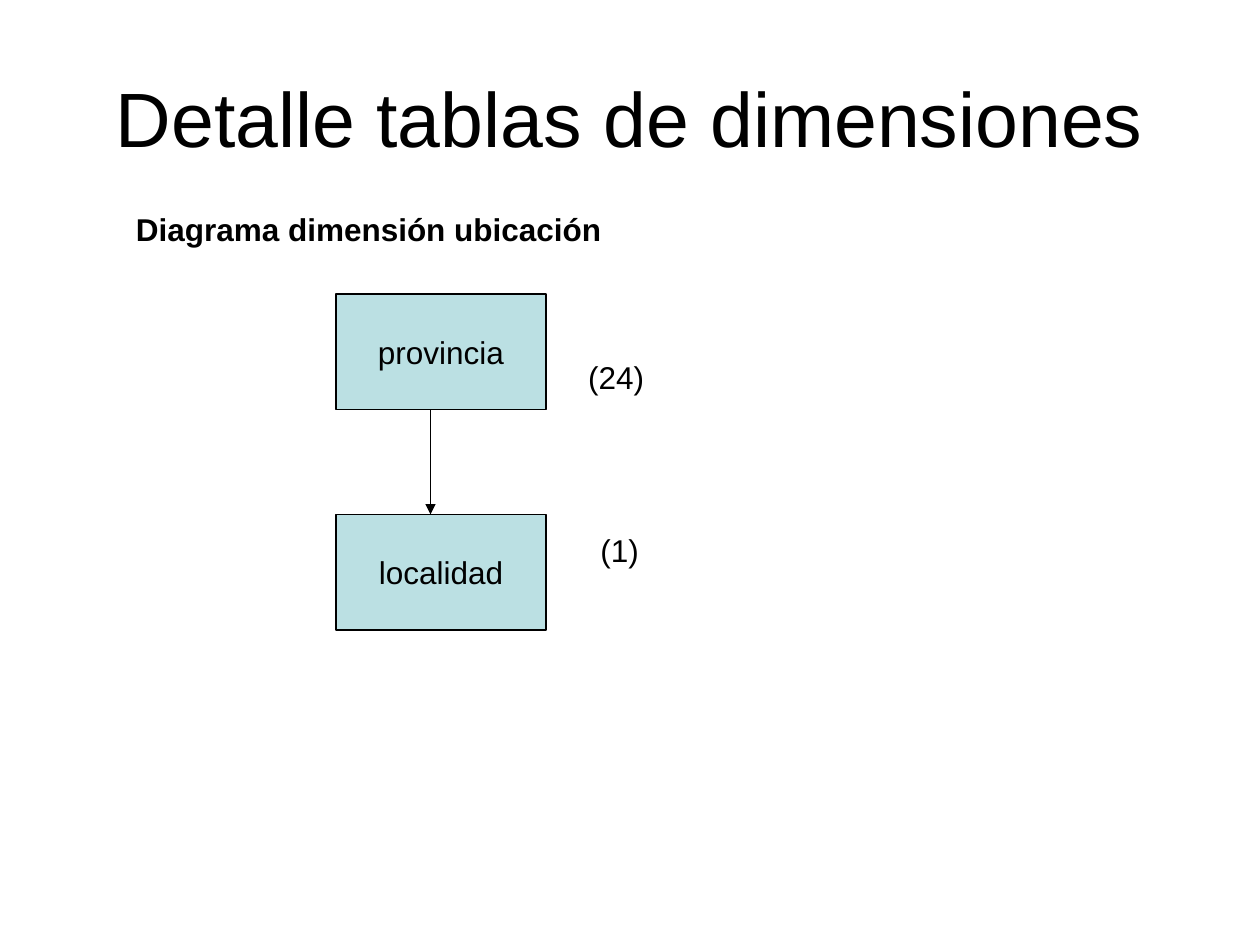
from lxml.etree import SubElement
from pptx import Presentation
from pptx.dml.color import RGBColor
from pptx.enum.shapes import MSO_CONNECTOR, MSO_SHAPE
from pptx.enum.text import MSO_ANCHOR, PP_ALIGN
from pptx.oxml.ns import qn
from pptx.util import Pt

BLACK = RGBColor(0x00, 0x00, 0x00)
PALE_TEAL = RGBColor(0xBB, 0xE0, 0xE3)
WHITE = RGBColor(0xFF, 0xFF, 0xFF)


def write_text(shape, text, size=18, bold=False, align=PP_ALIGN.LEFT,
               anchor=MSO_ANCHOR.TOP, wrap=False):
    frame = shape.text_frame
    frame.word_wrap = wrap
    frame.vertical_anchor = anchor
    paragraph = frame.paragraphs[0]
    paragraph.alignment = align
    run = paragraph.add_run()
    run.text = text
    run.font.name = "Arial"
    run.font.size = Pt(size)
    run.font.bold = bold
    run.font.color.rgb = BLACK


presentation = Presentation()
presentation.slide_width = Pt(720)
presentation.slide_height = Pt(540)
slide = presentation.slides.add_slide(presentation.slide_layouts[6])
slide.background.fill.solid()
slide.background.fill.fore_color.rgb = WHITE

title = slide.shapes.add_textbox(Pt(36), Pt(21.6), Pt(648), Pt(90))
write_text(title, "Detalle tablas de dimensiones", size=44,
           align=PP_ALIGN.CENTER, anchor=MSO_ANCHOR.MIDDLE, wrap=True)

subtitle = slide.shapes.add_textbox(Pt(70.6), Pt(116.6), Pt(280.8), Pt(29))
write_text(subtitle, "Diagrama dimensión ubicación", bold=True)

box_left, box_width, box_height = 192, 120, 66
province_top, locality_top = 168, 294

for name, top in (("provincia", province_top), ("localidad", locality_top)):
    box = slide.shapes.add_shape(MSO_SHAPE.RECTANGLE, Pt(box_left), Pt(top),
                                 Pt(box_width), Pt(box_height))
    box.shadow.inherit = False
    box.fill.solid()
    box.fill.fore_color.rgb = PALE_TEAL
    box.line.color.rgb = BLACK
    box.line.width = Pt(0.75)
    write_text(box, name, align=PP_ALIGN.CENTER, anchor=MSO_ANCHOR.MIDDLE)

for count, left, top, width in (("(24)", 329, 201, 46.8), ("(1)", 336, 300, 36.7)):
    label = slide.shapes.add_textbox(Pt(left), Pt(top), Pt(width), Pt(29))
    write_text(label, count)

arrow_x = 246
arrow = slide.shapes.add_connector(MSO_CONNECTOR.STRAIGHT,
                                   Pt(arrow_x), Pt(province_top + box_height),
                                   Pt(arrow_x), Pt(locality_top))
arrow.line.color.rgb = BLACK
arrow.line.width = Pt(0.75)
SubElement(arrow.line._get_or_add_ln(), qn("a:tailEnd"), type="triangle")
SubElement(arrow._element.spPr, qn("a:effectLst"))

presentation.save("out.pptx")
